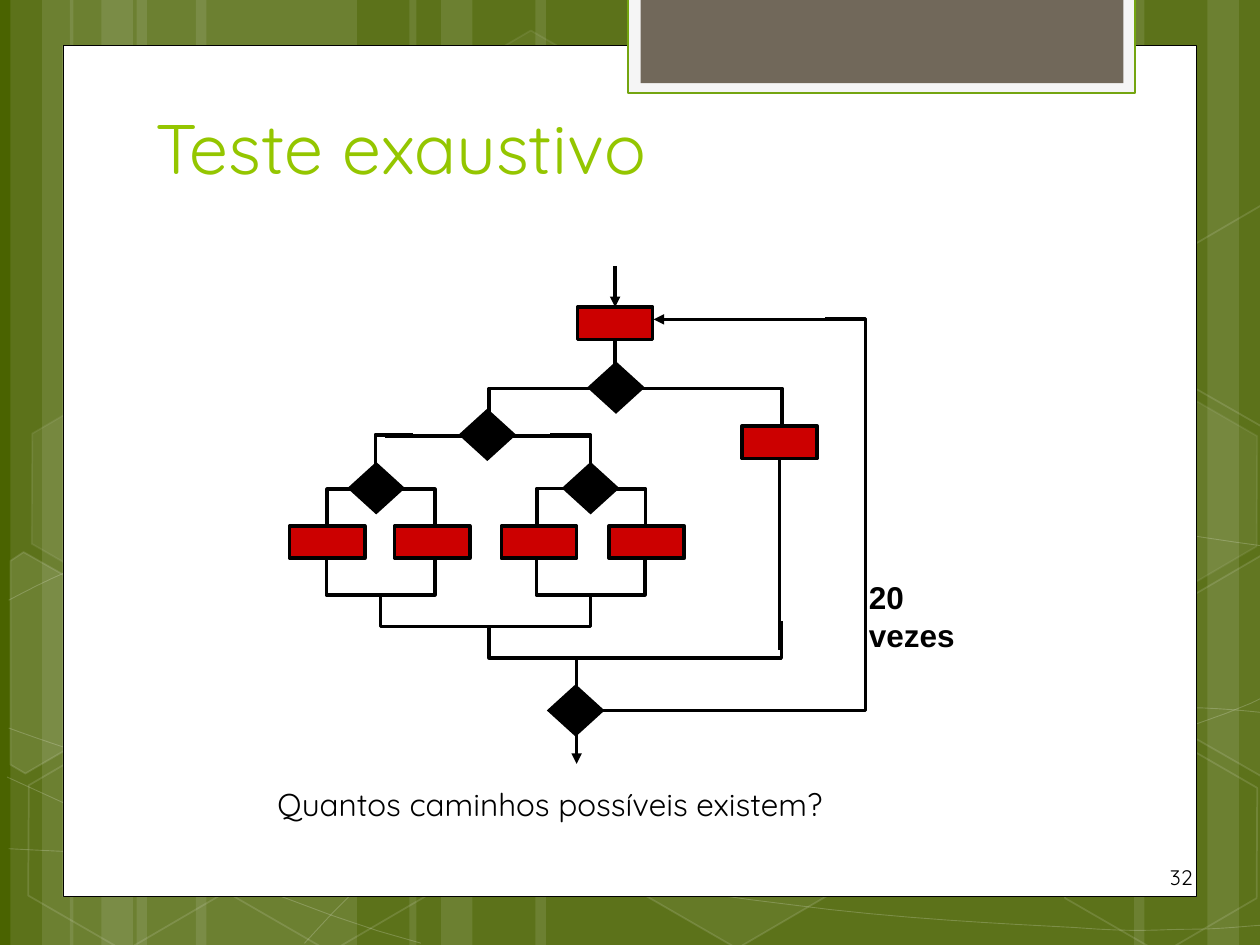
from dataclasses import dataclass

from lxml.etree import SubElement as Sub
from pptx import Presentation
from pptx.dml.color import RGBColor as RGB
from pptx.enum.shapes import MSO_CONNECTOR as Link, MSO_SHAPE as Kind
from pptx.enum.text import MSO_ANCHOR as Anchor, PP_ALIGN as Align
from pptx.oxml.ns import qn
from pptx.util import Pt


@dataclass(frozen=True)
class Theme:
    back: str = "4A6300"
    white: str = "FFFFFF"
    black: str = "000000"
    red: str = "CC0000"
    pale: str = "F5F5F5"
    rim: str = "74A510"
    slab: str = "71685A"
    lime: str = "94C600"
    font: str = "Quicksand"
    bold: str = "Arial"
    head: int = 40
    body: int = 18
    note: int = 12
    stroke: int = 2


T = Theme()

# left, width
BANDS = [(78, 126), (6, 36), (24, 60), (112, 126), (40, 36), (58, 60),
         (528, 126), (690, 36), (648, 60), (306, 222), (234, 36), (252, 60)]

# start point, then three points for each Bézier segment
CURVES = [
    [(5, 485), (44, 487), (83, 489), (137, 488), (191, 487), (258, 486), (330, 479),
     (402, 472), (504, 458), (570, 444), (636, 431), (703, 409), (725, 397)],
    [(5, 343), (26, 332), (47, 321), (87, 310), (128, 300), (186, 285), (250, 279),
     (314, 273.5), (392, 273), (471, 279), (550, 284.5), (682, 307), (725, 312.5)],
    [(4, 444), (91, 484), (178, 523), (240.5, 539)],
    [(5, 416), (27, 424), (50, 432), (92, 443.5), (134, 454), (197, 472), (257, 484.5),
     (317, 497), (392, 510), (452, 517), (512, 525), (576, 528), (614, 530),
     (652, 533), (662, 531), (680, 531), (699, 531), (712, 529), (725, 528.5)],
    [(174, 539), (187, 525), (200, 510), (217, 497.5), (235, 484.5), (259, 470),
     (279, 460), (299.5, 450), (312, 445.5), (338, 438.5), (364, 431), (412.5, 421),
     (438, 416), (464, 411), (467, 411), (490, 409.5), (512, 407.5), (547, 405),
     (572, 404.5), (597, 404), (638, 404.5), (638, 404.5), (654, 404.5), (670, 404.5),
     (686, 404.5), (699, 405), (711, 406), (724, 407.5)],
]

# left, top, fill opacity, line opacity
HEXES = [(240.5, 26, 4, 8), (358, 424, 6, 12), (8, 425.5, 0, 12), (10, 224.5, 7, 8),
         (125.5, 426, 0, 12), (542, 326, 10, 12), (600.5, 427, 0, 12), (600.5, 226, 7, 8)]

# points, fill opacity
HALVES = [
    ([(6, 320.5), (13.5, 315.5), (69, 347), (68.5, 410.5), (14.5, 442), (6, 437)], 10),
    ([(666.5, 349), (720.5, 317.5), (726.5, 321), (726.5, 441.5), (721.5, 444),
      (666.5, 412.5)], 4),
    ([(666.5, 149), (720.5, 117.5), (727, 121), (726.5, 241), (721.5, 244),
      (666.5, 212.5)], 0),
]

ELBOWS = [
    [(300.5, 222), (279.5, 222), (279.5, 246)],
    [(447, 245), (447, 222), (424, 222)],
    [(236, 248.5), (214.5, 248.5), (214.5, 273.5)],
    [(337.5, 272), (337.5, 248.5), (314.5, 248.5)],
    [(209, 279.5), (187, 279.5), (187, 303)],
    [(248.5, 302.5), (248.5, 279.5), (225.5, 279.5)],
    [(329, 279), (307, 279), (307, 303)],
    [(369, 302.5), (369, 279.5), (346, 279.5)],
    [(186.5, 315), (186.5, 340), (228, 340)],
    [(227, 340), (248.5, 340), (248.5, 315)],
    [(306.5, 319), (306.5, 340), (337.5, 340)],
    [(335, 340), (368.5, 340), (368.5, 318)],
    [(217.5, 340), (217.5, 358), (284.5, 358)],
    [(337.5, 340), (337.5, 358), (282, 358)],
    [(279.5, 358), (279.5, 376), (325.5, 376)],
    [(325, 376), (446.5, 376), (446.5, 355)],
    [(339, 406), (494.5, 406), (494.5, 185)],
    [(494.5, 206), (494.5, 182), (471.5, 182)],
]

DIAMONDS = [(335.5, 206.5), (262, 233.5), (198.5, 264), (321, 264), (312.5, 391)]


def paint(shape, fill=None, line=None, width=1, dim=(100, 100)):
    """Set fill and line; dim holds their opacity in percent."""
    shape.shadow.inherit = False
    if fill:
        shape.fill.solid()
        shape.fill.fore_color.rgb = RGB.from_string(fill)
    else:
        shape.fill.background()
    if line:
        shape.line.color.rgb = RGB.from_string(line)
        shape.line.width = Pt(width)
    else:
        shape.line.fill.background()
    shown = [part for color, part in zip((fill, line), dim) if color]
    for node, part in zip(shape._element.spPr.iter(qn("a:srgbClr")), shown):
        if part < 100:
            Sub(node, qn("a:alpha"), val=str(part * 1000))


def block(slide, kind, x, y, w, h, **look):
    shape = slide.shapes.add_shape(kind, Pt(x), Pt(y), Pt(w), Pt(h))
    paint(shape, **look)
    return shape


def trace(slide, points, close=False, **look):
    """Draw an outline through the points."""
    first, *rest = [(Pt(x), Pt(y)) for x, y in points]
    pen = slide.shapes.build_freeform(*first)
    pen.add_line_segments(rest, close=close)
    paint(pen.convert_to_shape(), **look)


def bend(knots, steps=8):
    """Sample a chain of cubic Bézier segments."""
    points = [knots[0]]
    for i in range(0, len(knots) - 1, 3):
        for k in range(1, steps + 1):
            t = k / steps
            mix = ((1 - t) ** 3, 3 * t * (1 - t) ** 2, 3 * t * t * (1 - t), t ** 3)
            points.append(tuple(sum(m * p[axis] for m, p in zip(mix, knots[i:i + 4]))
                                for axis in (0, 1)))
    return points


def wire(slide, start, end, arrow=False, source=None, target=None):
    """Draw a line, joined to the bottom of source or the top of target."""
    line = slide.shapes.add_connector(Link.STRAIGHT, *map(Pt, start + end))
    line.line.color.rgb = RGB.from_string(T.black)
    line.line.width = Pt(T.stroke)
    if source:
        line.begin_connect(source, 2)
    if target:
        line.end_connect(target, 0)
    if arrow:
        Sub(line.line._get_or_add_ln(), qn("a:tailEnd"), type="triangle")
    Sub(line._element.spPr, qn("a:effectLst"))


def label(slide, text, x, y, w, h, size, color=T.black, font=T.font, bold=False,
          align=Align.LEFT, anchor=Anchor.TOP, inset=(3, 0, 3, 0)):
    frame = slide.shapes.add_textbox(Pt(x), Pt(y), Pt(w), Pt(h)).text_frame
    frame.word_wrap = True
    frame.vertical_anchor = anchor
    (frame.margin_left, frame.margin_top,
     frame.margin_right, frame.margin_bottom) = map(Pt, inset)
    para = frame.paragraphs[0]
    para.text = text
    para.alignment = align
    para.font.name, para.font.size, para.font.bold = font, Pt(size), bold
    para.font.color.rgb = RGB.from_string(color)


def scene(slide):
    """Draw the green backdrop and the white page."""
    slide.background.fill.solid()
    slide.background.fill.fore_color.rgb = RGB.from_string(T.back)
    for x, w in BANDS:
        block(slide, Kind.RECTANGLE, x, 0, w, 540, fill=T.white, dim=(10, 100))
    for knots in CURVES:
        trace(slide, bend(knots), line=T.white, width=0.5, dim=(100, 20))
    for x, y, *dim in HEXES:
        cell = block(slide, Kind.HEXAGON, x, y, 126, 109.5,
                     fill=T.white if dim[0] else None, line=T.white, dim=dim)
        cell.adjustments[0] = 0.285
        cell.rotation = 30
    for points, part in HALVES:
        trace(slide, points, close=True, fill=T.white if part else None,
              line=T.white, dim=(part, 12))
    block(slide, Kind.RECTANGLE, 36, 26, 648, 486.5, fill=T.white, line=T.black, width=0.5)
    block(slide, Kind.RECTANGLE, 359, -1.5, 289.5, 54.5, fill=T.pale, line=T.rim, width=1.25)
    block(slide, Kind.RECTANGLE, 366, -1.5, 276, 49, fill=T.slab)


def flow(slide):
    for points in ELBOWS:
        trace(slide, points, line=T.black, width=T.stroke)
    spots = [(330, 175.5), (424, 243.5)] + [(x, 300.5) for x in (165.5, 225.5, 286.5, 348)]
    first, side, *_ = [block(slide, Kind.RECTANGLE, x, y, 43, 18.5, fill=T.red,
                             line=T.black, width=T.stroke) for x, y in spots]
    wire(slide, (351.5, 152), (351.5, 175.5), arrow=True, target=first)
    wire(slide, (351.5, 194), (351.5, 209.5), source=first)
    wire(slide, (337.5, 222), (279.5, 222))
    wire(slide, (366, 222), (446.5, 222))
    wire(slide, (267, 249), (220, 249))
    wire(slide, (293, 249), (337.5, 249))
    wire(slide, (445.5, 262), (445.5, 371.5), source=side)
    wire(slide, (329.5, 394), (329.5, 376))
    wire(slide, (329.5, 418.5), (329.5, 436.5), arrow=True)
    wire(slide, (494, 182.5), (373.5, 182.5), arrow=True)
    for x, y in DIAMONDS:
        block(slide, Kind.DIAMOND, x, y, 33, 30, fill=T.black)


def main():
    deck = Presentation()
    deck.slide_width, deck.slide_height = Pt(720), Pt(540)
    slide = deck.slides.add_slide(deck.slide_layouts[6])
    scene(slide)
    label(slide, "32", 538.5, 494, 146, 23, T.note, align=Align.RIGHT)
    label(slide, "Teste exaustivo", 82, 54, 553, 57, T.head, color=T.lime,
          anchor=Anchor.BOTTOM, inset=(7.2, 3.6, 10, 3.6))
    flow(slide)
    label(slide, "20 vezes", 493.5, 330.5, 78, 21.5, T.body, font=T.bold, bold=True)
    label(slide, "Quantos caminhos possíveis existem?", 155.5, 448.5, 331, 21.5, T.body)
    deck.save("out.pptx")


if __name__ == "__main__":
    main()
